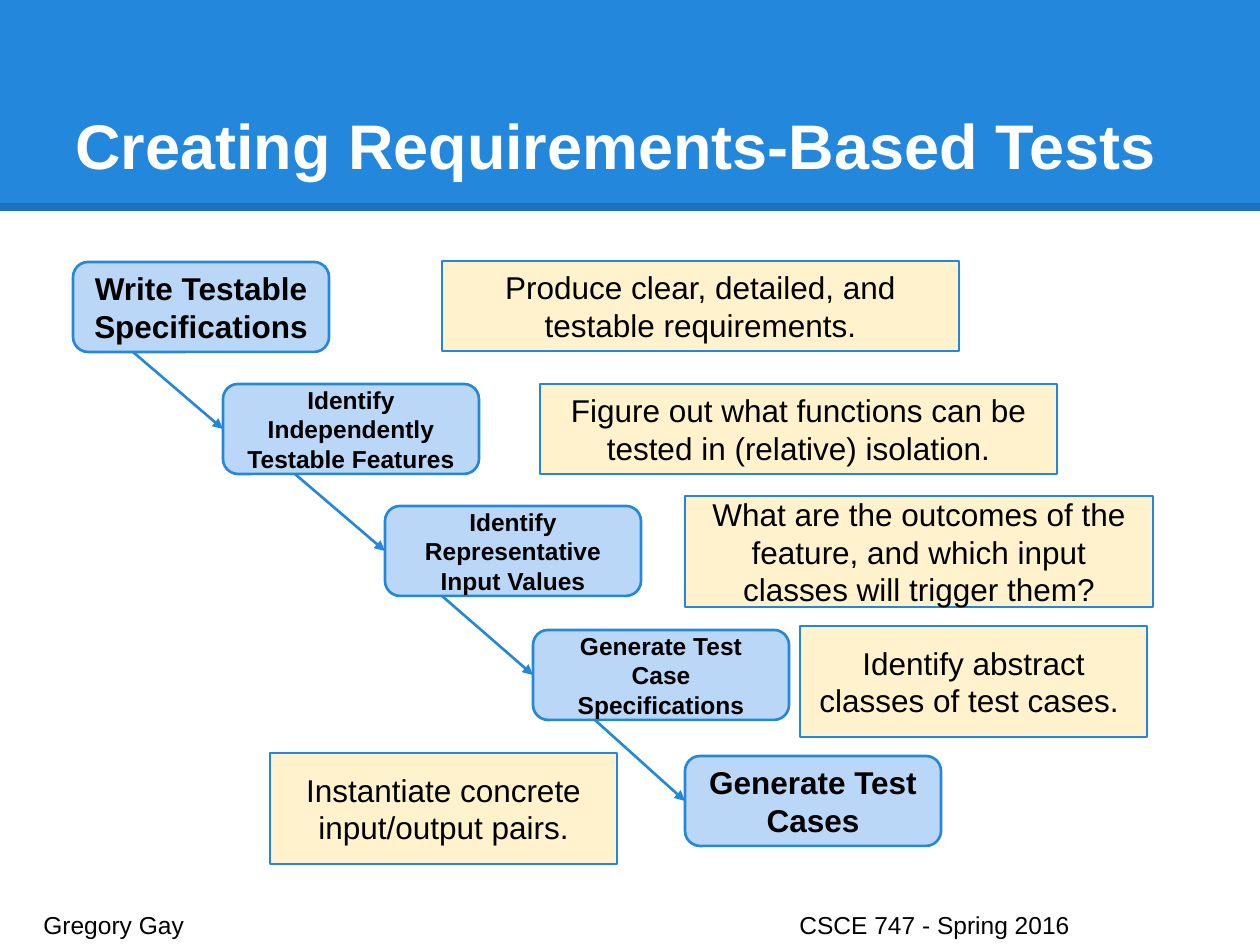
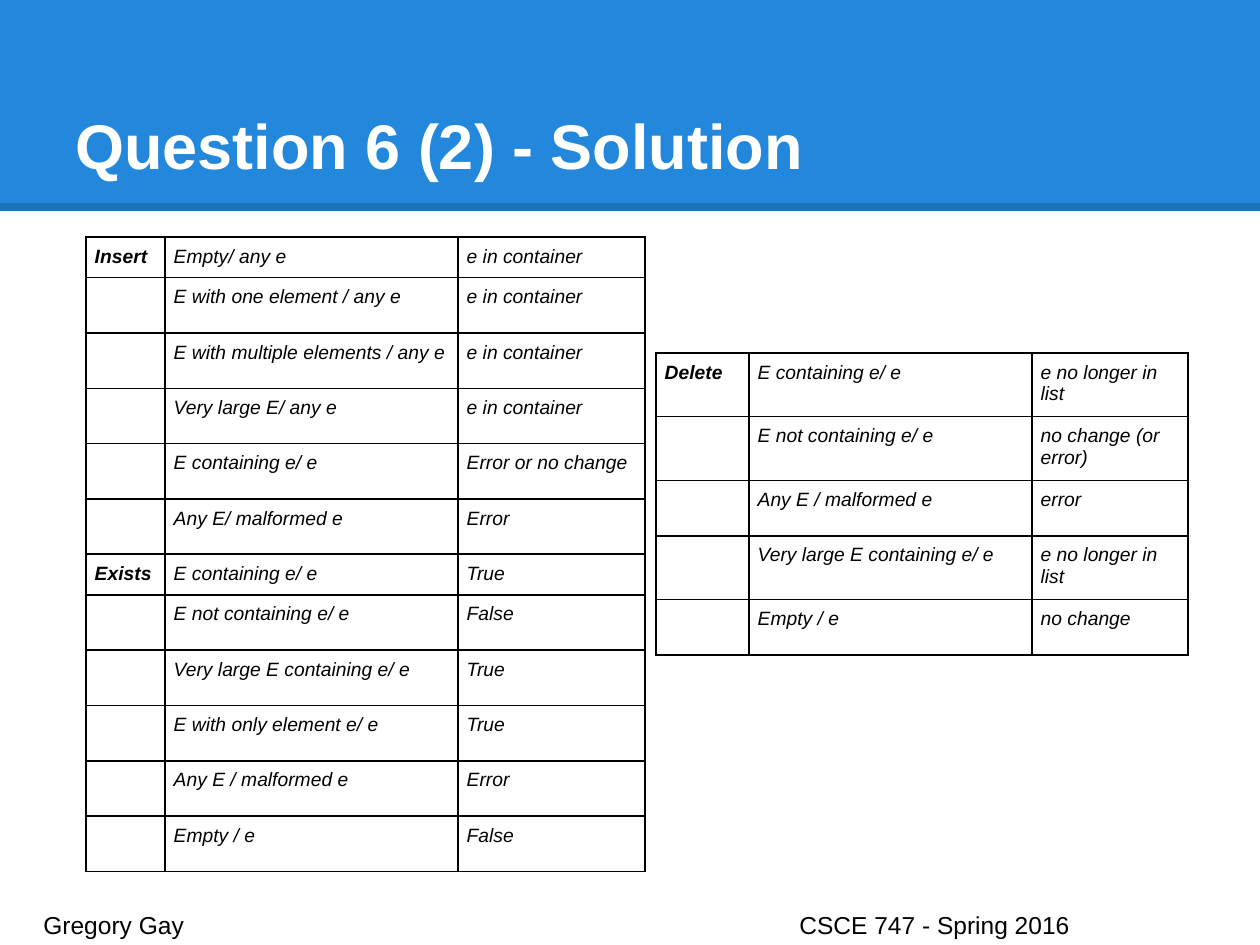
from lxml import etree
from pptx import Presentation
from pptx.dml.color import RGBColor
from pptx.enum.shapes import MSO_CONNECTOR as CONN, MSO_SHAPE as SHAPE
from pptx.enum.text import MSO_ANCHOR as ANCHOR, PP_ALIGN as ALIGN
from pptx.oxml import parse_xml
from pptx.oxml.ns import nsdecls, qn
from pptx.util import Emu, Inches, Pt

BLUE = RGBColor(0x23, 0x88, 0xDB)
PALE_BLUE = RGBColor(0xBB, 0xD7, 0xF8)
CREAM = RGBColor(0xFF, 0xF2, 0xCC)
BLACK = RGBColor(0, 0, 0)
WHITE = RGBColor(0xFF, 0xFF, 0xFF)
FONT = "Arial"
SCALE = 914400 / 126
WIDTH, HEIGHT = 1260, 945
STEP_W, STEP_H = 256, 90


def px(n):
    return Emu(round(n * SCALE))


class Deck:
    def __init__(self):
        self.prs = Presentation()
        self.prs.slide_width = px(WIDTH)
        self.prs.slide_height = px(HEIGHT)
        self.s = None

    def slide(self, title):
        self.s = self.prs.slides.add_slide(self.prs.slide_layouts[6])
        self.shape(SHAPE.RECTANGLE, 0, 0, WIDTH, 211, BLUE)
        edge = self.line(0, 207, WIDTH, 207, BLACK, 4.5)
        color = edge.line._get_or_add_ln().find(".//" + qn("a:srgbClr"))
        etree.SubElement(color, qn("a:alpha"), val="15000")
        self.text(63, 38, 1134, 157, title, 36, WHITE, True, ANCHOR.BOTTOM)
        footer = self.text(31, 897, 1198, 38, "Gregory Gay\tCSCE 747 - Spring 2016", 14)
        tabs = etree.SubElement(footer.text_frame.paragraphs[0]._p.get_or_add_pPr(),
                                qn("a:tabLst"))
        etree.SubElement(tabs, qn("a:tab"), pos=str(px(756)), algn="l")

    def run(self, p, text, size, color=BLACK, bold=False, italic=False):
        r = p.add_run()
        r.text = text
        r.font.name = FONT
        r.font.size = Pt(size)
        r.font.color.rgb = color
        r.font.bold = bold
        r.font.italic = italic

    def fill_frame(self, tf, text, size, color, bold, anchor, align):
        tf.word_wrap = True
        tf.vertical_anchor = anchor
        tf.margin_left = tf.margin_right = tf.margin_top = tf.margin_bottom = Inches(0.1)
        p = tf.paragraphs[0]
        p.alignment = align
        self.run(p, text, size, color, bold)

    def text(self, x, y, w, h, text, size, color=BLACK, bold=False, anchor=ANCHOR.TOP):
        sp = self.s.shapes.add_textbox(px(x), px(y), px(w), px(h))
        self.fill_frame(sp.text_frame, text, size, color, bold, anchor, ALIGN.LEFT)
        return sp

    def shape(self, kind, x, y, w, h, fill, line=None):
        sp = self.s.shapes.add_shape(kind, px(x), px(y), px(w), px(h))
        sp.shadow.inherit = False
        sp.fill.solid()
        sp.fill.fore_color.rgb = fill
        if line is None:
            sp.line.fill.background()
        else:
            sp.line.color.rgb = line
            sp.line.width = Pt(1.5)
        return sp

    def box(self, kind, x, y, w, h, fill, text, size=18, bold=False):
        sp = self.shape(kind, x, y, w, h, fill, BLUE)
        self.fill_frame(sp.text_frame, text, size, BLACK, bold, ANCHOR.MIDDLE, ALIGN.CENTER)
        return sp

    def line(self, x1, y1, x2, y2, color, width):
        c = self.s.shapes.add_connector(CONN.STRAIGHT, px(x1), px(y1), px(x2), px(y2))
        c.line.color.rgb = color
        c.line.width = Pt(width)
        etree.SubElement(c._element.spPr, qn("a:effectLst"))
        return c

    def arrow(self, x, y, target):
        c = self.line(x, y, x + 90, y + 76, BLUE, 1.5)
        c.end_connect(target, 1)
        etree.SubElement(c.line._get_or_add_ln(), qn("a:tailEnd"), type="triangle")

    def table(self, x, y, widths, heights, rows):
        frame = self.s.shapes.add_table(len(rows), len(widths), px(x), px(y),
                                        px(sum(widths)), px(sum(heights)))
        table = frame.table
        table.first_row = table.horz_banding = False
        for col, w in zip(table.columns, widths):
            col.width = px(w)
        for row, h, values in zip(table.rows, heights, rows):
            row.height = px(h)
            for i, (cell, value) in enumerate(zip(row.cells, values)):
                self.cell(cell, value, bold=i == 0)

    def cell(self, cell, value, bold):
        cell.fill.background()
        cell.margin_left = cell.margin_right = Pt(5)
        cell.margin_top = cell.margin_bottom = Pt(5)
        if value:
            self.run(cell.text_frame.paragraphs[0], value, 11, bold=bold, italic=True)
        tc_pr = cell._tc.get_or_add_tcPr()
        for i, side in enumerate(("lnL", "lnR", "lnT", "lnB")):
            tc_pr.insert(i, parse_xml(
                f'<a:{side} {nsdecls("a")} w="{Pt(1)}"><a:solidFill>'
                f'<a:srgbClr val="{BLACK}"/></a:solidFill></a:{side}>'))


def process_slide(deck):
    deck.slide("Creating Requirements-Based Tests")
    steps = [
        (73, 262, "Write Testable Specifications", 18),
        (223, 384, "Identify Independently Testable Features", 14),
        (385, 506, "Identify Representative Input Values", 14),
        (533, 630, "Generate Test Case Specifications", 14),
        (685, 756, "Generate Test Cases", 18),
    ]
    boxes = [deck.box(SHAPE.ROUNDED_RECTANGLE, x, y, STEP_W, STEP_H, PALE_BLUE, text, size, True)
             for x, y, text, size in steps]
    for start_x, (_, y, *_), target in zip((133, 295, 442, 595), steps, boxes[1:]):
        deck.arrow(start_x, y + STEP_H, target)
    notes = [
        (442, 261, 517, 90, "Produce clear, detailed, and testable requirements."),
        (540, 384, 517, 90, "Figure out what functions can be tested in (relative) isolation."),
        (685, 496, 468, 111,
         "What are the outcomes of the feature, and which input classes will trigger them?"),
        (800, 626, 347, 111, "Identify abstract classes of test cases. "),
        (270, 753, 347, 111, "Instantiate concrete input/output pairs."),
    ]
    for x, y, w, h, text in notes:
        deck.box(SHAPE.RECTANGLE, x, y, w, h, CREAM, text)


def solution_slide(deck):
    deck.slide("Question 6 (2) - Solution")
    deck.table(86, 237, (79, 293, 187), ([39] + [53] * 5) * 2, [
        ("Insert", "Empty/ any e", "e in container"),
        ("", "E with one element / any e", "e in container"),
        ("", "E with multiple elements / any e", "e in container"),
        ("", "Very large E/ any e", "e in container"),
        ("", "E containing e/ e", "Error or no change"),
        ("", "Any E/ malformed e", "Error"),
        ("Exists", "E containing e/ e", "True"),
        ("", "E not containing e/ e", "False"),
        ("", "Very large E containing e/ e", "True"),
        ("", "E with only element e/ e", "True"),
        ("", "Any E / malformed e", "Error"),
        ("", "Empty / e", "False"),
    ])
    deck.table(656, 353, (93, 283, 156), (61, 61, 53, 61, 53), [
        ("Delete", "E containing e/ e", "e no longer in list"),
        ("", "E not containing e/ e", "no change (or error)"),
        ("", "Any E / malformed e", "error"),
        ("", "Very large E containing e/ e", "e no longer in list"),
        ("", "Empty / e", "no change"),
    ])


def main():
    deck = Deck()
    process_slide(deck)
    solution_slide(deck)
    deck.prs.save("out.pptx")


if __name__ == "__main__":
    main()
